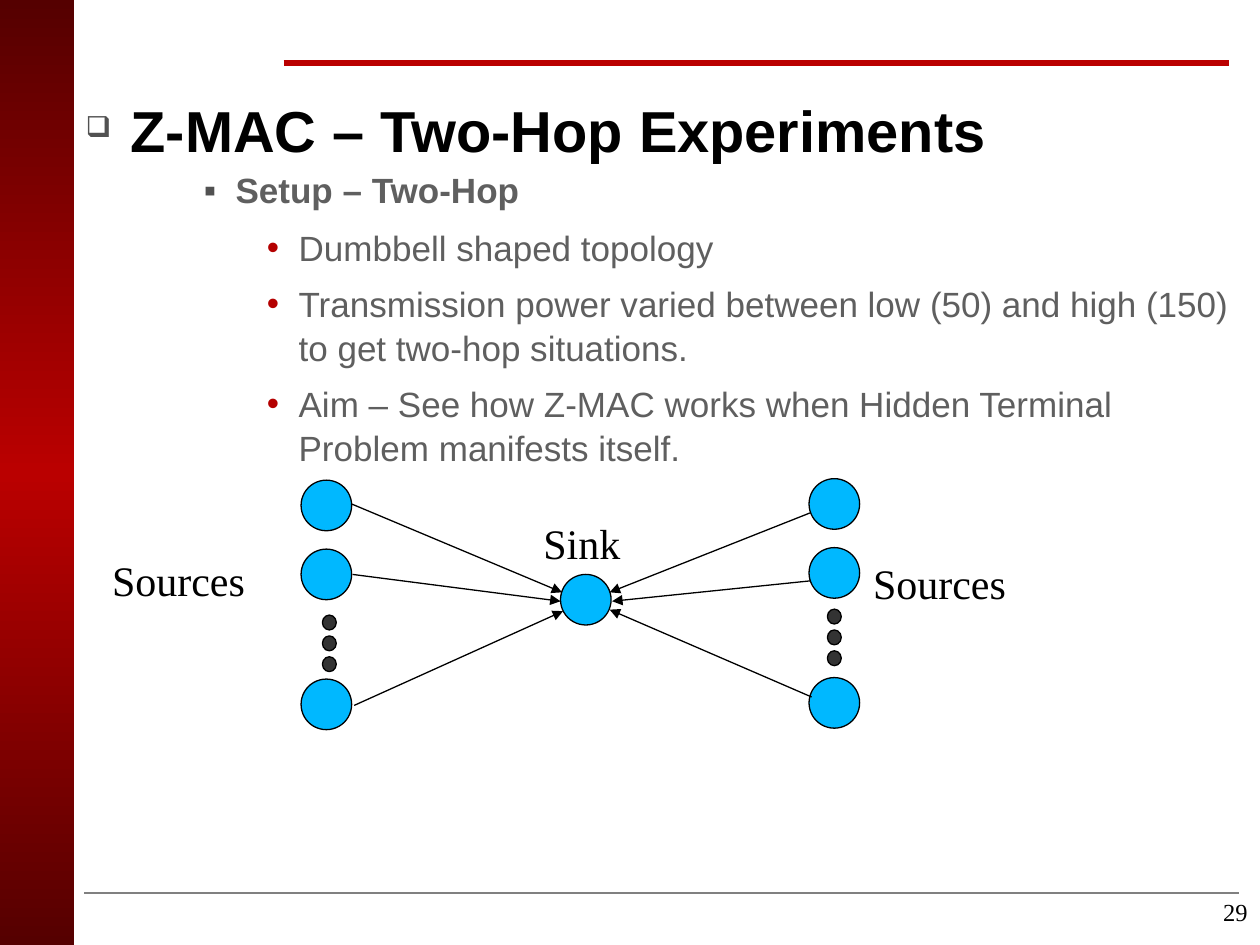
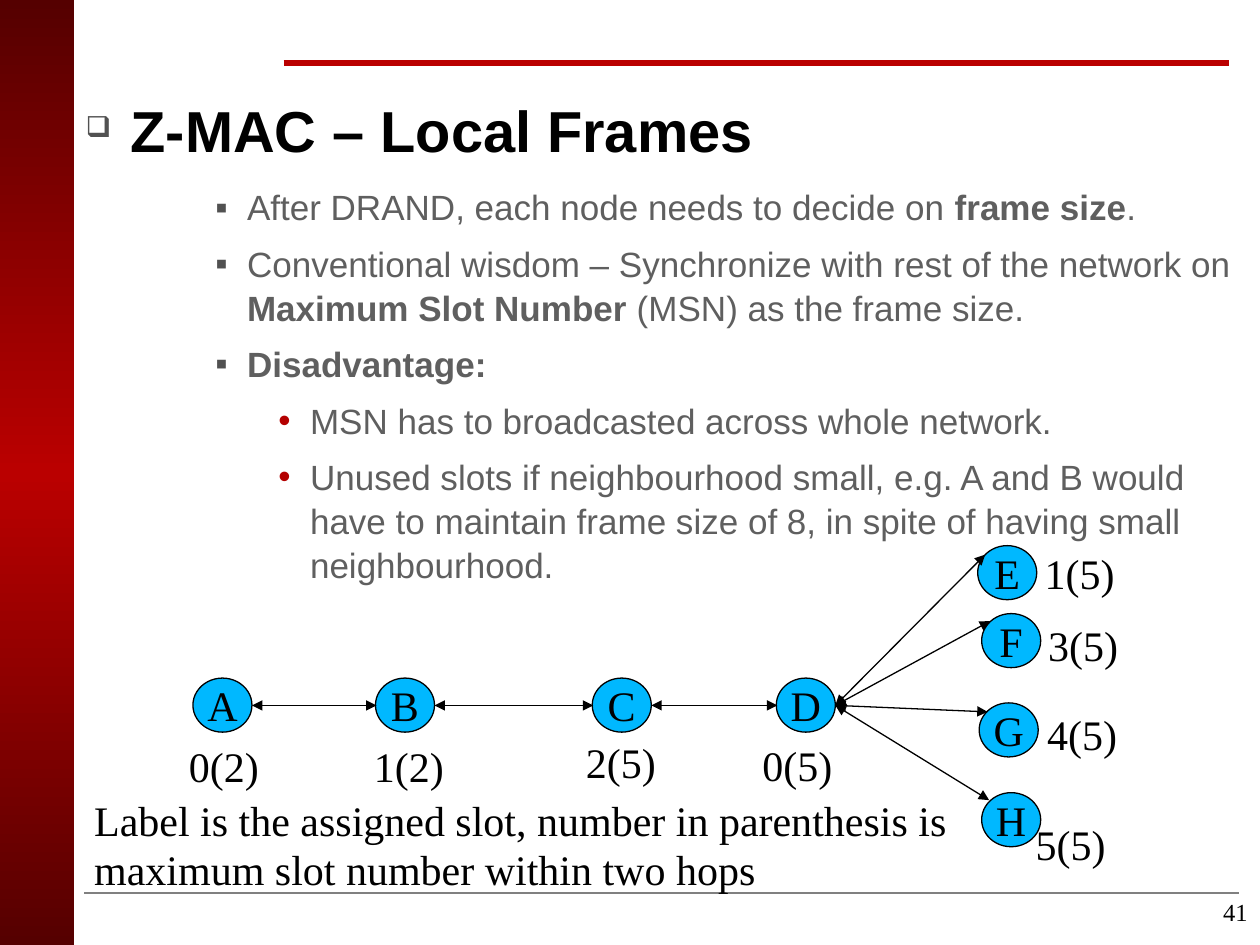
from copy import deepcopy

from lxml.etree import SubElement
from pptx import Presentation
from pptx.dml.color import RGBColor
from pptx.enum.shapes import MSO_CONNECTOR, MSO_SHAPE
from pptx.enum.text import MSO_ANCHOR, MSO_AUTO_SIZE, PP_ALIGN
from pptx.oxml.ns import qn
from pptx.util import Cm, Pt

RED, DARK_RED, BULLET_RED = "BA0000", "550000", "B40000"
BLACK, GREY, TEXT_GREY, BULLET_GREY = "000000", "808080", "5F5F5F", "515151"
NODE_BLUE, DOT_GREY = "00B8FF", "333333"
SANS, SERIF = "Arial", "Times New Roman"
LEFT, CENTER, RIGHT = PP_ALIGN.LEFT, PP_ALIGN.CENTER, PP_ALIGN.RIGHT

# Level: bullet, bullet colour, bullet size in percent, left margin, hanging indent
BULLETS = {
    0: ("❑", BULLET_GREY, 50, 0.91, 0.91),
    2: ("▪", BULLET_GREY, 100, 3.18, 0.64),
    3: ("•", BULLET_RED, 100, 4.45, 0.64),
}


def paint(fill, colour):
    fill.solid()
    fill.fore_color.rgb = RGBColor.from_string(colour)


def write(para, text, size, font=SERIF, colour=BLACK, bold=False):
    span = para.add_run()
    span.text = text
    span.font.size = Pt(size)
    span.font.name = font
    span.font.bold = bold
    paint(span.font.fill, colour)


# Two-hop topology. Circles: left, top, width, height, colour, letter
dumbbell = [(11.3, 11.58, 1.02, 1.02, NODE_BLUE, "")]
for left, top, dot_left, dot_top in [(6.07, 9.68, 6.5, 12.4), (16.31, 9.65, 16.68, 12.28)]:
    dumbbell += [(left, top + drop, 1.02, 1.02, NODE_BLUE, "") for drop in (0, 1.39, 4.01)]
    dumbbell += [(dot_left, dot_top + 0.42 * i, 0.28, 0.3, DOT_GREY, "") for i in range(3)]

to_sink = [
    (7.09, 10.16, 11.33, 11.94),
    (7.11, 11.58, 11.3, 12.12),
    (7.14, 14.22, 11.35, 12.32),
    (16.33, 10.34, 12.29, 11.94),
    (16.33, 11.71, 12.34, 12.12),
    (16.36, 14.05, 12.29, 12.29),
]

# Slot network. Letter, left, top, slot label, label left, label top
nodes = [
    ("A", 3.89, 13.67, "0(2)", 3.81, 14.99),
    ("B", 7.57, 13.67, "1(2)", 7.54, 14.99),
    ("C", 11.94, 13.67, "2(5)", 11.81, 14.91),
    ("D", 15.65, 13.67, "0(5)", 15.37, 14.96),
    ("E", 19.71, 11.0, "1(5)", 21.06, 11.1),
    ("F", 19.79, 12.37, "3(5)", 21.13, 12.55),
    ("G", 19.74, 14.17, "4(5)", 21.11, 14.35),
    ("H", 19.79, 15.98, "5(5)", 20.88, 16.56),
]
chain = [(start, 14.22, end, 14.22) for start, end in [(5.08, 7.59), (8.76, 11.96), (13.13, 15.67)]]
fan = [
    (16.84, 14.22, end, height)
    for end, height in [(19.86, 11.18), (19.96, 12.52), (19.91, 14.35), (19.94, 16.13)]
]

# Items: level, then runs of text and boldness. Labels: text, left, top, width, size, alignment
pages = [
    {
        "heading": "Z-MAC – Two-Hop Experiments",
        "number": "29",
        "list_at": (1.57, 3.48, 23.6, 5.77),
        "items": [
            (2, [("Setup – Two-Hop", True)]),
            (3, [("Dumbbell shaped topology", False)]),
            (3, [("Transmission power varied between low (50) and high (150) "
                  "to get two-hop situations.", False)]),
            (3, [("Aim – See how Z-MAC works when Hidden Terminal Problem manifests itself.", False)]),
        ],
        "circles": dumbbell,
        "arrows": to_sink,
        "arrow_ends": ["tailEnd"],
        "labels": [
            ("Sources", 2.26, 11.23, 3.2, 24, LEFT),
            ("Sources", 17.6, 11.3, 3.2, 24, LEFT),
            ("Sink", 10.13, 10.49, 3.2, 24, CENTER),
        ],
    },
    {
        "heading": "Z-MAC – Local Frames",
        "number": "41",
        "list_at": (1.8, 3.81, 23.6, 7.7),
        "items": [
            (2, [("After DRAND, each node needs to decide on ", False),
                 ("frame size", True), (".", False)]),
            (2, [("Conventional wisdom – Synchronize with rest of the network on ", False),
                 ("Maximum Slot Number", True), (" (MSN) as the frame size.", False)]),
            (2, [("Disadvantage:", True)]),
            (3, [("MSN has to broadcasted across whole network.", False)]),
            (3, [("Unused slots if neighbourhood small, e.g. A and B would have to maintain "
                  "frame size of 8, in spite of having small neighbourhood.", False)]),
        ],
        "circles": [(left, top, 1.19, 1.09, NODE_BLUE, letter) for letter, left, top, *_ in nodes],
        "arrows": chain + fan,
        "arrow_ends": ["headEnd", "tailEnd"],
        "labels": [(slot, left, top, 2, 24, LEFT) for *_, slot, left, top in nodes] + [
            ("Label is the assigned slot, number in parenthesis is maximum slot number "
             "within two hops", 1.9, 16.08, 17.4, 24, LEFT),
        ],
    },
]

deck = Presentation()
deck.slide_width, deck.slide_height = Cm(25.4), Cm(19.05)

for page in pages:
    slide = deck.slides.add_slide(deck.slide_layouts[1])

    # Side band
    band = slide.shapes.add_shape(MSO_SHAPE.RECTANGLE, 0, 0, Cm(1.5), deck.slide_height)
    band.shadow.inherit = False
    band.line.fill.background()
    band.fill.gradient()
    band.fill.gradient_angle = 90
    stop_list = band._element.spPr.find(".//" + qn("a:gsLst"))
    stop_list.append(deepcopy(stop_list[0]))
    for stop, position, colour in zip(band.fill.gradient_stops, (0, 0.5, 1), (DARK_RED, RED, DARK_RED)):
        stop.position = position
        stop.color.rgb = RGBColor.from_string(colour)

    # Heading and list
    title, body = slide.placeholders
    for holder, place in [(title, (1.47, 1.9, 22.66, 1.63)), (body, page["list_at"])]:
        holder.left, holder.top, holder.width, holder.height = [Cm(length) for length in place]
        frame = holder.text_frame
        frame.auto_size = MSO_AUTO_SIZE.NONE
        frame.vertical_anchor = MSO_ANCHOR.TOP
    frame.margin_left = frame.margin_right = frame.margin_top = frame.margin_bottom = 0

    heading = title.text_frame.paragraphs[0]
    write(heading, page["heading"], 33, SANS, BLACK, True)
    rows = [(heading, 0)]
    for index, (level, runs) in enumerate(page["items"]):
        para = frame.add_paragraph() if index else frame.paragraphs[0]
        para.level = level
        for text, bold in runs:
            write(para, text, 20, SANS, TEXT_GREY, bold)
        rows.append((para, level))

    for index, (para, level) in enumerate(rows):
        para.alignment = LEFT
        para.line_spacing = 0.93 if index < 2 else 1.05
        para.space_before = Pt(0 if index < 2 else 7)
        bullet, colour, percent, margin, hanging = BULLETS[level]
        properties = para._p.get_or_add_pPr()
        properties.set("marL", str(Cm(margin)))
        properties.set("indent", str(-Cm(hanging)))
        SubElement(SubElement(properties, qn("a:buClr")), qn("a:srgbClr"), val=colour)
        SubElement(properties, qn("a:buSzPct"), val=str(percent * 1000))
        SubElement(properties, qn("a:buChar"), char=bullet)

    # Nodes and dots
    for left, top, width, height, colour, letter in page["circles"]:
        circle = slide.shapes.add_shape(MSO_SHAPE.OVAL, Cm(left), Cm(top), Cm(width), Cm(height))
        circle.shadow.inherit = False
        paint(circle.fill, colour)
        paint(circle.line.fill, BLACK)
        circle.line.width = Pt(0.75)
        if letter:
            frame = circle.text_frame
            frame.margin_left = frame.margin_right = frame.margin_top = frame.margin_bottom = 0
            frame.word_wrap = False
            frame.vertical_anchor = MSO_ANCHOR.MIDDLE
            frame.paragraphs[0].alignment = CENTER
            write(frame.paragraphs[0], letter, 24)

    # Page rules and arrows
    lines = [((5.72, 1.27, 24.77, 1.27), RED, 3, []), ((1.7, 18, 24.97, 18), GREY, 1.5, [])]
    lines += [(ends, BLACK, 0.75, page["arrow_ends"]) for ends in page["arrows"]]
    for ends, colour, weight, arrowheads in lines:
        line = slide.shapes.add_connector(MSO_CONNECTOR.STRAIGHT, *[Cm(length) for length in ends])
        paint(line.line.fill, colour)
        line.line.width = Pt(weight)
        for arrowhead in arrowheads:
            SubElement(line.line._get_or_add_ln(), qn("a:" + arrowhead), type="triangle")
        SubElement(line._element.spPr, qn("a:effectLst"))

    # Labels and page number
    page_number = (page["number"], 19.48, 18.11, 5.67, 14, RIGHT)
    for text, left, top, width, size, alignment in page["labels"] + [page_number]:
        box = slide.shapes.add_textbox(Cm(left), Cm(top), Cm(width), Cm(0.94))
        frame = box.text_frame
        frame.word_wrap = True
        frame.auto_size = MSO_AUTO_SIZE.SHAPE_TO_FIT_TEXT
        frame.margin_left = frame.margin_right = frame.margin_top = frame.margin_bottom = 0
        para = frame.paragraphs[0]
        para.alignment = alignment
        para.line_spacing = 0.97
        write(para, text, size)

deck.save("out.pptx")
